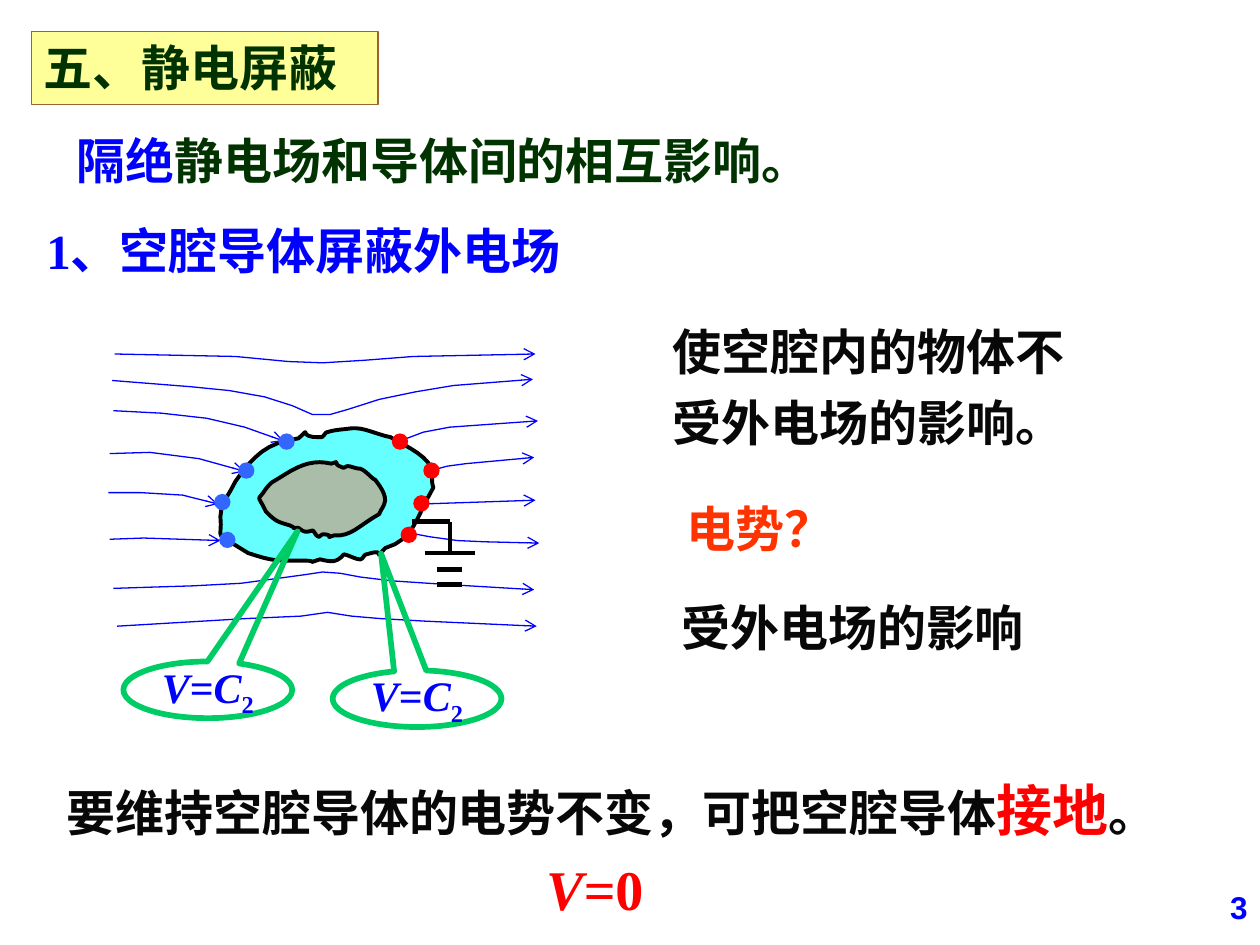
from pptx import Presentation
from pptx.util import Pt
from pptx.dml.color import RGBColor as RGB
from pptx.enum.shapes import MSO_SHAPE as SHAPE, MSO_CONNECTOR as CONN
from pptx.enum.text import PP_ALIGN as ALIGN, MSO_ANCHOR as ANCHOR, MSO_AUTO_SIZE as AUTO
from lxml import etree

PX = 9144  # 100 px to the inch
NS = "http://schemas.openxmlformats.org/drawingml/2006/main"
C = dict(blue="0000FF", green="003300", ink="080808", red="FF0000", orange="FF3300",
         cream="FFFF99", brown="996633", cyan="66FFFF", sage="A9BDA9",
         dot="3366FF", callout="00CC66", black="000000")

prs = Presentation()
prs.slide_width, prs.slide_height = 1000 * PX, 750 * PX
s = prs.slides.add_slide(prs.slide_layouts[6])


def paint(sp, fill=None, line=None, width=0.75):
    sp.shadow.inherit = False
    if fill:
        sp.fill.solid()
        sp.fill.fore_color.rgb = RGB.from_string(C[fill])
    else:
        sp.fill.background()
    if line:
        sp.line.color.rgb = RGB.from_string(C[line])
        sp.line.width = Pt(width)
    else:
        sp.line.fill.background()


def write(sp, runs, align=ALIGN.LEFT, anchor=ANCHOR.TOP, wrap=True, grow=True, spacing=None):
    """Each run is (text, colour, size, font overrides)."""
    tf = sp.text_frame
    tf.word_wrap, tf.vertical_anchor = wrap, anchor
    tf.auto_size = AUTO.SHAPE_TO_FIT_TEXT if grow else AUTO.NONE
    p = tf.paragraphs[0]
    p.alignment = align
    if spacing:
        p.line_spacing = spacing
    for text, color, size, extra in runs:
        r = p.add_run()
        r.text = text
        fmt = dict(name="Times New Roman", size=Pt(size), bold=True) | extra
        base = fmt.pop("baseline", None)
        for key, value in fmt.items():
            setattr(r.font, key, value)
        r.font.color.rgb = RGB.from_string(C[color])
        if base:
            r.font._element.set("baseline", base)


# Slide number and heading
write(s.shapes.add_textbox(792 * PX, 700 * PX, 208 * PX, 50 * PX),
      [("3", "blue", 18, dict(name="Arial"))], align=ALIGN.RIGHT, grow=False)
sp = s.shapes.add_shape(SHAPE.RECTANGLE, 25 * PX, 25 * PX, 275 * PX, 58 * PX)
paint(sp, "cream", "brown")
write(sp, [("五、静电屏蔽", "green", 28, {})])

# Hollow conductor and its cavity: a start point, then cubic Bezier triples
diagram = s.shapes.add_group_shape().shapes
outlines = [
    ("cyan", [(187, 382), (201, 362), (212, 351), (237, 348), (249, 337), (234, 348), (255, 347),
              (257, 347), (258, 343), (260, 343), (266, 341), (272, 341), (279, 340),
              (289, 339), (299, 345), (310, 347), (314, 350), (338, 360), (342, 371),
              (344, 377), (342, 382), (344, 387), (330, 411), (329, 428), (306, 435),
              (294, 447), (309, 434), (291, 440), (289, 440), (288, 444), (286, 444),
              (282, 444), (278, 441), (273, 440), (267, 447), (263, 446), (254, 444),
              (241, 448), (255, 445), (241, 445), (220, 445), (218, 446), (197, 439),
              (167, 420), (177, 431), (175, 410), (177, 395), (175, 405), (187, 382)]),
    ("sage", [(227, 376), (240, 368), (250, 365), (263, 368), (272, 365), (262, 368), (272, 371),
              (273, 372), (274, 370), (276, 370), (279, 370), (282, 372), (286, 372),
              (291, 374), (294, 379), (298, 381), (300, 384), (308, 393), (305, 400),
              (304, 403), (302, 405), (301, 408), (285, 417), (279, 426), (265, 425),
              (256, 428), (267, 425), (257, 424), (255, 424), (254, 426), (253, 426),
              (250, 425), (250, 422), (248, 421), (242, 423), (241, 422), (237, 419),
              (229, 419), (237, 420), (230, 417), (220, 414), (219, 414), (211, 406),
              (204, 391), (204, 399), (211, 388), (217, 381), (213, 385), (227, 376)]),
]
STEPS = 8
for fill, pts in outlines:
    curve = []
    for i in range(0, len(pts) - 1, 3):
        for t in (n / STEPS for n in range(1, STEPS + 1)):
            weights = ((1 - t) ** 3, 3 * t * (1 - t) ** 2, 3 * t * t * (1 - t), t ** 3)
            curve.append([sum(w * pt[axis] for w, pt in zip(weights, pts[i:i + 4])) * PX
                          for axis in (0, 1)])
    fb = diagram.build_freeform(pts[0][0] * PX, pts[0][1] * PX)
    fb.add_line_segments(curve, close=True)
    paint(fb.convert_to_shape(), fill, "black", 2.25)

# Field lines, with arrowheads on the right
field_lines = [
    [(91, 281), (187, 283), (229, 287), (256, 288), (289, 286), (328, 283), (425, 281)],
    [(89, 302), (152, 307), (182, 310), (210, 315), (232, 322), (248, 329), (262, 329),
     (276, 325), (301, 317), (330, 311), (360, 306), (423, 301)],
    [(90, 326), (128, 328), (164, 332), (194, 339), (225, 350)],
    [(87, 360), (119, 359), (158, 364), (194, 374)],
    [(86, 391), (112, 391), (145, 393), (173, 400)],
    [(87, 428), (114, 427), (175, 429)],
    [(90, 467), (120, 466), (153, 465), (191, 463), (221, 459), (243, 456), (256, 454),
     (270, 455), (286, 458), (311, 461), (356, 464), (424, 468)],
    [(93, 497), (195, 491), (239, 489), (260, 486), (279, 489), (302, 491), (337, 493), (426, 497)],
    [(320, 349), (336, 343), (357, 339), (427, 334)],
    [(340, 374), (355, 370), (370, 368), (424, 363)],
    [(336, 400), (425, 397)],
    [(320, 422), (341, 426), (363, 429), (385, 430), (428, 431)],
]
for pts in field_lines:
    fb = diagram.build_freeform(*pts[0], scale=PX)
    fb.add_line_segments(pts[1:], close=False)
    sp = fb.convert_to_shape()
    paint(sp, line="blue")
    etree.SubElement(sp.line._get_or_add_ln(), f"{{{NS}}}tailEnd", type="arrow")

# Induced charges
charges = [("dot", [(174, 422), (170, 392), (189, 367), (221, 344)]),
           ("red", [(311, 344), (336, 367), (328, 393), (318, 418)])]
for color, spots in charges:
    for x, y in spots:
        paint(diagram.add_shape(SHAPE.OVAL, x * PX, y * PX, 13 * PX, 13 * PX), color)

# Potential callouts
for x, y, adj in [(264, 532, (-0.213, -2.561)), (98, 525, (0.531, -2.795))]:
    sp = s.shapes.add_shape(SHAPE.OVAL_CALLOUT, x * PX, y * PX, 134 * PX, 45 * PX)
    sp.adjustments[0], sp.adjustments[1] = adj
    paint(sp, line="callout", width=3.25)
    write(sp, [("V", "blue", 24, dict(italic=True)), ("=", "blue", 24, {}),
               ("C", "blue", 24, dict(italic=True)), ("2", "blue", 24, dict(baseline="-25000"))],
          align=ALIGN.CENTER, anchor=ANCHOR.MIDDLE, wrap=False, grow=False)

# Ground symbol
ground = s.shapes.add_group_shape().shapes
for ends in [(327, 414, 357, 414), (357, 414, 357, 439), (337, 439, 377, 439),
             (347, 452, 367, 452), (347, 464, 367, 464)]:
    cx = ground.add_connector(CONN.STRAIGHT, *(v * PX for v in ends))
    cx.line.color.rgb = RGB.from_string(C["black"])
    cx.line.width = Pt(2.5)
    etree.SubElement(cx._element.spPr, f"{{{NS}}}effectLst")

# Statements
statements = [
    ((51, 99, 606, 57), [("隔绝", "blue", 28, {}), ("静电场和导体间的相互影响。", "green", 28, {})],
     dict(wrap=False)),
    ((27, 170, 475, 57), [("1、空腔导体屏蔽外电场", "blue", 28, {})], {}),
    ((524, 241, 367, 122), [("使空腔内的物体不受外电场的影响。", "ink", 28, {})], dict(spacing=1.2)),
    ((535, 391, 425, 57), [("电势？", "orange", 28, {})], {}),
    ((531, 469, 386, 57), [("受外电场的影响", "ink", 28, {})], {}),
    ((43, 595, 917, 80), [("要维持空腔导体的电势不变，可把空腔导体", "ink", 28, {}),
                          ("接地", "red", 32, {}), ("。", "ink", 28, {})], dict(spacing=1.3)),
    ((423, 673, 98, 64), [("V=", "red", 32, dict(italic=True)), ("0", "red", 32, {})],
     dict(align=ALIGN.CENTER, wrap=False)),
]
for box, runs, layout in statements:
    write(s.shapes.add_textbox(*(v * PX for v in box)), runs, **layout)

prs.save("out.pptx")
